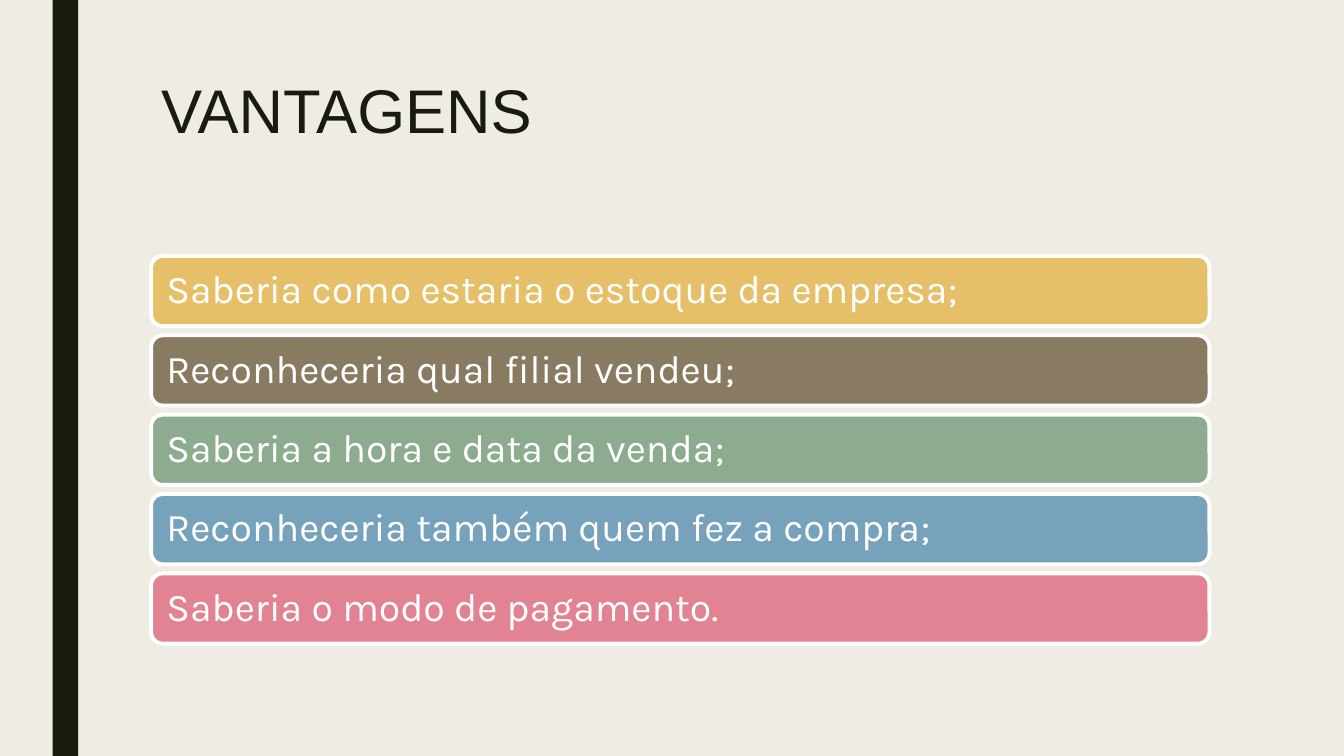
from dataclasses import dataclass
from pptx import Presentation
from pptx.dml.color import RGBColor
from pptx.enum.shapes import MSO_SHAPE
from pptx.enum.text import MSO_ANCHOR, PP_ALIGN
from pptx.util import Cm, Pt

RECT, ROUNDED = MSO_SHAPE.RECTANGLE, MSO_SHAPE.ROUNDED_RECTANGLE
TOP, MIDDLE = MSO_ANCHOR.TOP, MSO_ANCHOR.MIDDLE
LEFT = PP_ALIGN.LEFT


@dataclass
class Theme:
    background: str = "EFEDE3"
    dark: str = "191B0E"
    white: str = "FFFFFF"
    title_font: str = "Arial"
    body_font: str = "Karla"
    title_size: int = 44
    body_size: int = 28
    outline: float = 2.75


theme = Theme()


def rgb(value):
    return RGBColor.from_string(value)


def write(sp, text, *, font, size, color, anchor, inset, spacing=0.9):
    tf = sp.text_frame
    tf.word_wrap = True
    tf.vertical_anchor = anchor
    tf.margin_left = tf.margin_right = Cm(inset)
    tf.margin_top = tf.margin_bottom = Cm(0.13)
    p = tf.paragraphs[0]
    p.alignment = LEFT
    p.line_spacing = spacing
    r = p.add_run()
    r.text = text
    r.font.name = font
    r.font.size = Pt(size)
    r.font.color.rgb = rgb(color)


# Slide and background
prs = Presentation()
prs.slide_width, prs.slide_height = Cm(33.87), Cm(19.05)
s = prs.slides.add_slide(prs.slide_layouts.get_by_name("Title Only"))
s.background.fill.solid()
s.background.fill.fore_color.rgb = rgb(theme.background)

# Side stripe
stripe = s.shapes.add_shape(RECT, Cm(1.33), 0, Cm(0.64), prs.slide_height)
stripe.shadow.inherit = False
stripe.fill.solid()
stripe.fill.fore_color.rgb = rgb(theme.dark)
stripe.line.fill.background()

# Title
title = s.shapes.title
title.left, title.top, title.width, title.height = Cm(3.81), Cm(1.91), Cm(26.67), Cm(4.11)
write(title, "VANTAGENS", font=theme.title_font, size=theme.title_size,
      color=theme.dark, anchor=TOP, inset=0.25, spacing=0.89)

# Advantage bars
advantages = [
    ("Saberia como estaria o estoque da empresa;", "E6C069"),
    ("Reconheceria qual filial vendeu;", "897B61"),
    ("Saberia a hora e data da venda;", "8DAB8E"),
    ("Reconheceria também quem fez a compra;", "77A2BB"),
    ("Saberia o modo de pagamento.", "E28394"),
]
first_top, pitch = 6.45, 2.0
for i, (text, color) in enumerate(advantages):
    bar = s.shapes.add_shape(ROUNDED, Cm(3.81), Cm(first_top + i * pitch), Cm(26.67), Cm(1.77))
    bar.shadow.inherit = False
    bar.fill.solid()
    bar.fill.fore_color.rgb = rgb(color)
    bar.line.color.rgb = rgb(theme.white)
    bar.line.width = Pt(theme.outline)
    write(bar, text, font=theme.body_font, size=theme.body_size,
          color=theme.white, anchor=MIDDLE, inset=0.3)

prs.save("out.pptx")
